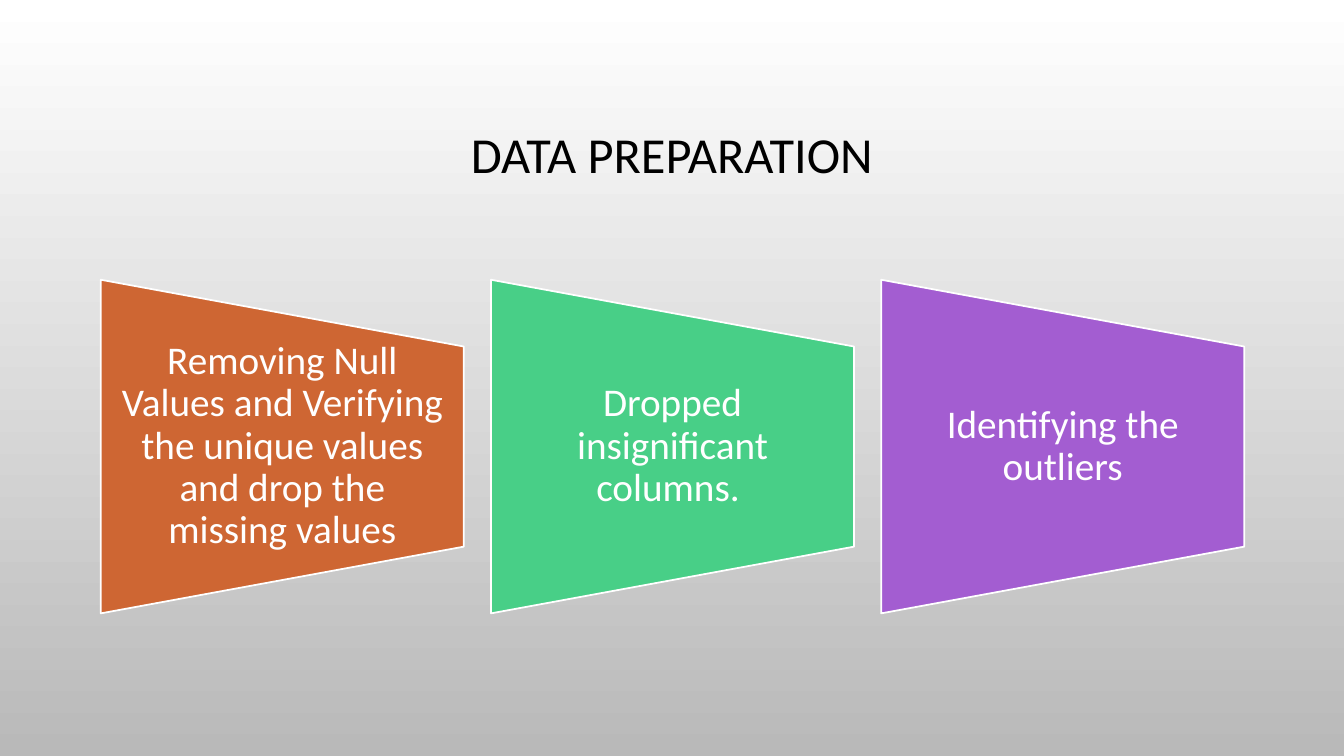
from dataclasses import dataclass

from pptx import Presentation
from pptx.dml.color import RGBColor
from pptx.enum.shapes import MSO_SHAPE
from pptx.enum.text import MSO_ANCHOR, PP_ALIGN
from pptx.slide import Slide
from pptx.util import Inches, Pt

HUES = {
    "white": "FFFFFF",
    "grey": "B9B9B9",
    "black": "000000",
    "orange": "CE6633",
    "green": "48CF87",
    "purple": "A35DD1",
}
LEFT, STEP, WIDE = 1.0, 3.87, 3.6
MID, TALL, TEXT_TALL = 4.43, 3.31, 1.99
PAD = 0.17


@dataclass
class Label:
    text: str
    left: float
    top: float
    width: float
    height: float
    size: int
    hue: str
    pad: float = 0.1


@dataclass
class Step:
    text: str
    hue: str


STEPS = [
    Step("Removing Null Values and Verifying the unique values and drop the missing values", "orange"),
    Step("Dropped insignificant columns. ", "green"),
    Step("Identifying the outliers", "purple"),
]


def color(name: str) -> RGBColor:
    return RGBColor.from_string(HUES[name])


def apply(target: object, values: dict) -> None:
    for name, value in values.items():
        setattr(target, name, value)


def add_label(slide: Slide, label: Label) -> None:
    box = slide.shapes.add_textbox(
        Inches(label.left), Inches(label.top), Inches(label.width), Inches(label.height)
    )
    frame = box.text_frame
    apply(frame, {
        "word_wrap": True,
        "vertical_anchor": MSO_ANCHOR.MIDDLE,
        "margin_left": Inches(label.pad),
        "margin_right": Inches(label.pad),
        "margin_top": 0,
        "margin_bottom": 0,
    })
    para = frame.paragraphs[0]
    apply(para, {"alignment": PP_ALIGN.CENTER, "line_spacing": 0.9})
    run = para.add_run()
    run.text = label.text
    apply(run.font, {"name": "Calibri", "size": Pt(label.size)})
    run.font.color.rgb = color(label.hue)


def add_step(slide: Slide, step: Step, left: float) -> None:
    # The shape is turned on its side, so its width is the visible height
    shape = slide.shapes.add_shape(
        MSO_SHAPE.FLOWCHART_MANUAL_OPERATION,
        Inches(left + (WIDE - TALL) / 2), Inches(MID - WIDE / 2), Inches(TALL), Inches(WIDE),
    )
    shape.rotation = 270
    shape.shadow.inherit = False
    shape.fill.solid()
    shape.fill.fore_color.rgb = color(step.hue)
    shape.line.color.rgb = color("white")
    shape.line.width = Pt(1.25)
    add_label(slide, Label(step.text, left, MID - TEXT_TALL / 2, WIDE, TEXT_TALL, 28, "white", PAD))


def main() -> None:
    deck = Presentation()
    apply(deck, {"slide_width": Inches(13.33), "slide_height": Inches(7.5)})
    slide = deck.slides.add_slide(deck.slide_layouts[6])

    # Background
    fill = slide.background.fill
    fill.gradient()
    fill.gradient_angle = 270
    for stop, name, place in zip(fill.gradient_stops, ("white", "grey"), (0, 1)):
        stop.color.rgb = color(name)
        stop.position = place

    # Title
    add_label(slide, Label("DATA PREPARATION", 1, 0.68, 11.33, 1.75, 36, "black"))

    # Steps
    for index, step in enumerate(STEPS):
        add_step(slide, step, LEFT + index * STEP)

    deck.save("out.pptx")


if __name__ == "__main__":
    main()
